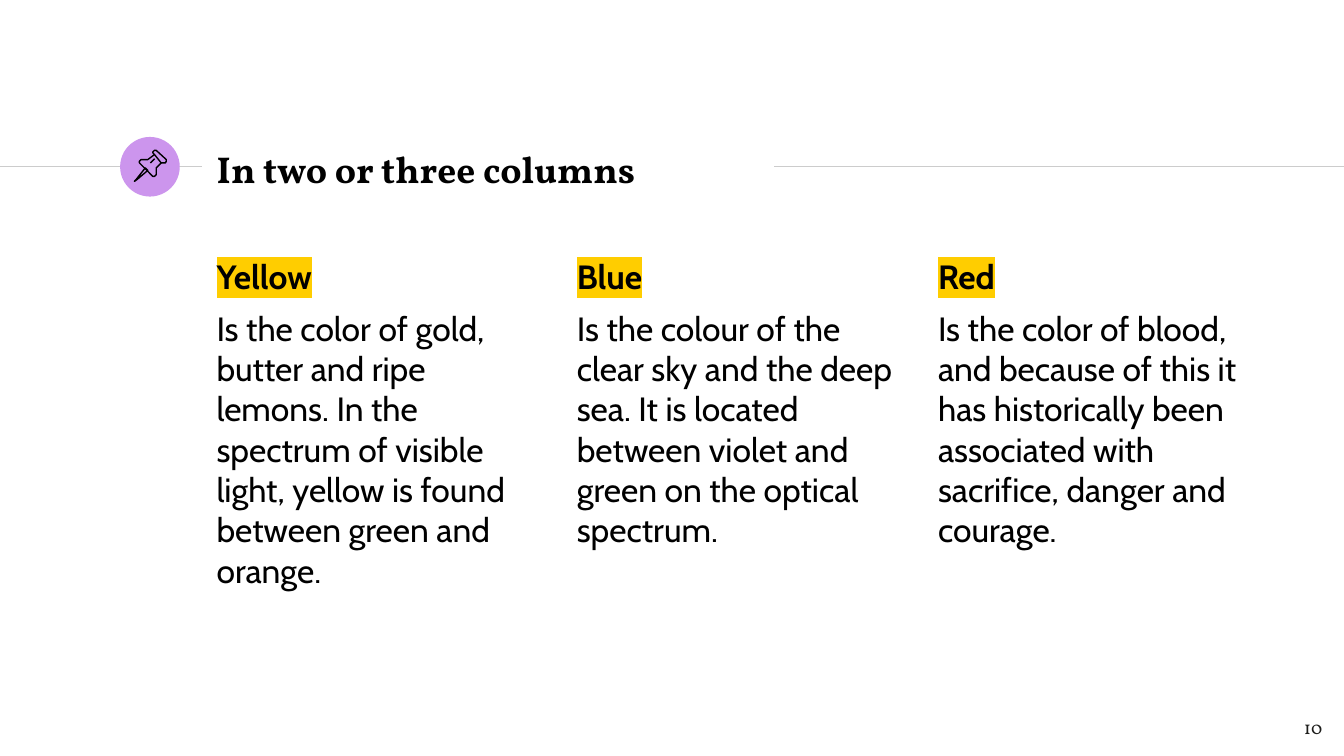
from collections import namedtuple
from dataclasses import dataclass

from lxml.etree import SubElement
from pptx import Presentation
from pptx.dml.color import RGBColor as RGB
from pptx.enum.shapes import MSO_CONNECTOR as Connector, MSO_SHAPE as Preset
from pptx.enum.text import MSO_ANCHOR as Anchor, PP_ALIGN as Align
from pptx.oxml.ns import qn
from pptx.util import Emu, Pt

PX = 5715
Box = namedtuple("Box", "left top width height")


@dataclass(frozen=True)
class Theme:
    """Colours, fonts and type sizes of the slide."""
    background: str = "FFFFFF"
    ink: str = "000000"
    number_ink: str = "1D1D1B"
    rule: str = "CCCCCC"
    badge: str = "CC95ED"
    marker: str = "FFCD00"
    heading_font: str = "Vollkorn"
    body_font: str = "Cabin"
    title_size: int = 20
    body_size: int = 18
    number_size: int = 10
    line_width: float = 0.75


THEME = Theme()

COLUMNS = [
    ("Yellow", "Is the color of gold, butter and ripe lemons. In the spectrum of "
     "visible light, yellow is found between green and orange."),
    ("Blue", "Is the colour of the clear sky and the deep sea. It is located "
     "between violet and green on the optical spectrum."),
    ("Red", "Is the color of blood, and because of this it has historically been "
     "associated with sacrifice, danger and courage."),
]

NEEDLE = [(30, 37), (19, 51), (17, 53), (20, 51), (33, 40)]
CAP = [(41, 21), (49, 31), (52, 31), (54, 31), (55, 29), (55, 27),
       (43, 16), (41, 16), (39, 18), (39, 19)]
BODY = [(41, 21), (33, 27), (31, 27), (28, 27), (25, 27), (23, 29), (23, 31),
        (39, 47), (41, 47), (43, 45), (43, 42), (43, 37), (49, 31)]
GLINT = [(36, 31), (41, 26)]
PIN = [(NEEDLE, True), (CAP, True), (BODY, False), (GLINT, False)]


def px(*lengths):
    """Turn px lengths into EMU."""
    return [Emu(length * PX) for length in lengths]


def write(paragraph, text, font=THEME.body_font, size=THEME.body_size,
          color=THEME.ink, bold=False, highlight=None, align=Align.LEFT, before=0):
    """Write formatted text into a paragraph."""
    paragraph.alignment = align
    paragraph.space_before = Pt(before)
    run = paragraph.add_run()
    run.text = text
    run.font.size = Pt(size)
    run.font.bold = bold
    run.font.color.rgb = RGB.from_string(color)
    run.font.name = font
    if highlight:
        properties = run.font._element
        marker = SubElement(properties, qn("a:highlight"))
        SubElement(marker, qn("a:srgbClr"), val=highlight)
        properties.find(qn("a:solidFill")).addnext(marker)


def prepare_frame(shape, anchor=Anchor.TOP):
    """Give a shape's text frame even insets and wrapping."""
    frame = shape.text_frame
    frame.word_wrap = True
    frame.vertical_anchor = anchor
    frame.margin_left, frame.margin_top, frame.margin_right, frame.margin_bottom = px(16, 16, 16, 16)
    return frame


def add_text_frame(slide, box, anchor=Anchor.TOP):
    """Add a text box and return its frame."""
    return prepare_frame(slide.shapes.add_textbox(*px(*box)), anchor)


def add_rule(slide, start, end, y):
    """Add a thin horizontal rule."""
    line = slide.shapes.add_connector(Connector.STRAIGHT, *px(start, y, end, y))
    line.line.color.rgb = RGB.from_string(THEME.rule)
    line.line.width = Pt(THEME.line_width)
    SubElement(line._element.spPr, qn("a:effectLst"))


def add_badge(slide, box):
    """Add the round badge with its outlined pushpin."""
    disc = slide.shapes.add_shape(Preset.OVAL, *px(*box))
    disc.shadow.inherit = False
    disc.fill.solid()
    disc.fill.fore_color.rgb = RGB.from_string(THEME.badge)
    disc.line.fill.background()
    pin = slide.shapes.add_group_shape()
    for points, closed in PIN:
        builder = pin.shapes.build_freeform(*points[0], scale=PX)
        builder.add_line_segments(points[1:], close=closed)
        outline = builder.convert_to_shape(*px(box.left, box.top))
        outline.shadow.inherit = False
        outline.fill.background()
        outline.line.color.rgb = RGB.from_string(THEME.ink)
        outline.line.width = Pt(THEME.line_width)


def add_header(slide, box):
    """Add the title band: rules, badge and title."""
    middle = box.top + 36
    add_rule(slide, box.left, box.left + 240, middle)
    add_rule(slide, box.left + 922, box.left + box.width, middle)
    add_badge(slide, Box(box.left + 143, box.top + 1, 71, 71))
    title = slide.shapes.title
    title.left, title.top, title.width, title.height = px(box.left + 242, box.top, 678, box.height)
    frame = prepare_frame(title, Anchor.MIDDLE)
    write(frame.paragraphs[0], "In two or three columns", font=THEME.heading_font,
          size=THEME.title_size, bold=True)


def add_columns(slide, box, columns, width=408):
    """Spread equal text columns across the box."""
    for index, (heading, text) in enumerate(columns):
        offset = index * (box.width - width) // (len(columns) - 1)
        frame = add_text_frame(slide, Box(box.left + offset, box.top, width, box.height))
        write(frame.paragraphs[0], heading, bold=True, highlight=THEME.marker)
        write(frame.add_paragraph(), text, before=6)


def add_page_number(slide, box, number):
    """Add the page number."""
    frame = add_text_frame(slide, box, Anchor.MIDDLE)
    write(frame.paragraphs[0], str(number), font=THEME.heading_font,
          size=THEME.number_size, color=THEME.number_ink, align=Align.RIGHT)


def main():
    """Build and save the slide."""
    presentation = Presentation()
    presentation.slide_width, presentation.slide_height = px(1600, 900)
    slide = presentation.slides.add_slide(presentation.slide_layouts.get_by_name("Title Only"))
    slide.background.fill.solid()
    slide.background.fill.fore_color.rgb = RGB.from_string(THEME.background)
    add_header(slide, Box(0, 162, 1600, 77))
    add_columns(slide, Box(242, 289, 1267, 546), COLUMNS)
    add_page_number(slide, Box(1494, 831, 96, 69), 10)
    presentation.save("out.pptx")


if __name__ == "__main__":
    main()
